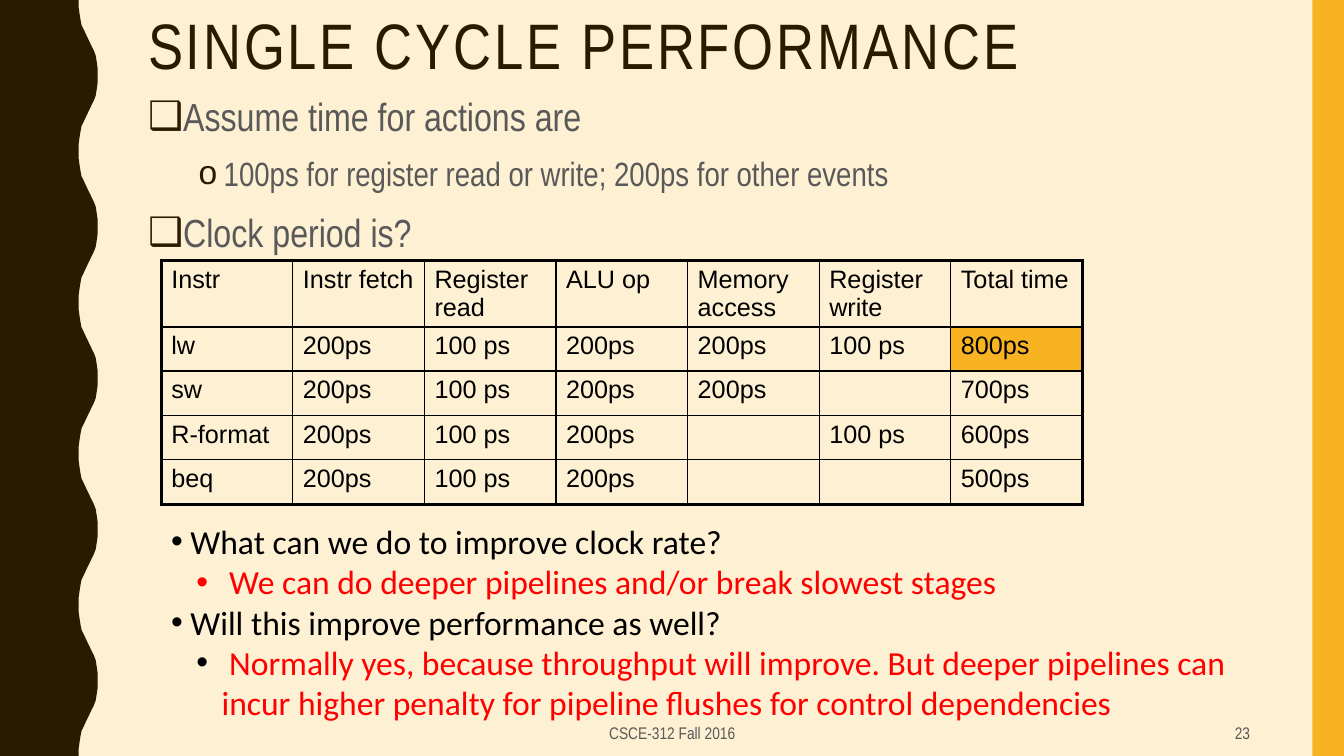
from lxml.etree import SubElement
from pptx import Presentation
from pptx.dml.color import RGBColor
from pptx.enum.shapes import MSO_SHAPE
from pptx.enum.text import MSO_ANCHOR, MSO_AUTO_SIZE, PP_ALIGN
from pptx.oxml import parse_xml
from pptx.oxml.ns import nsdecls, qn
from pptx.util import Pt


class Theme:
    cream, brown, gold = "FEF0D3", "2A1A00", "F8B323"
    grey, black, red = "595959", "000000", "FF0000"
    narrow, sans, notes = "Arial Narrow", "Arial", "Calibri"
    title, main, sub, cell, foot = 45.9, 28, 24, 18, 12


def style(para, face, size, color):
    para.font.name = face
    para.font.size = Pt(size)
    para.font.color.rgb = RGBColor.from_string(color)


def bullet(para, char, color, left, hang):
    props = para._p.get_or_add_pPr()
    props.set("marL", str(Pt(left)))
    props.set("indent", str(Pt(-hang)))
    tint = SubElement(props, qn("a:buClr"))
    SubElement(tint, qn("a:srgbClr"), val=color)
    SubElement(props, qn("a:buFont"), typeface=Theme.sans)
    SubElement(props, qn("a:buChar"), char=char)


deck = Presentation()
deck.slide_width, deck.slide_height = Pt(960), Pt(540)
slide = deck.slides.add_slide(deck.slide_layouts[1])
shapes = slide.shapes
slide.background.fill.solid()
slide.background.fill.fore_color.rgb = RGBColor.from_string(Theme.cream)

# Wavy band on the left: half a wave, mirrored, five times over
half = [(56.2, 0), (56.2, 5), (56.9, 10), (57.6, 14.4), (58.3, 18),
        (59.8, 21), (61.2, 24), (62.6, 27), (64.1, 30), (65.5, 33),
        (67, 36), (68.4, 39.6), (69.1, 44), (69.8, 49), (69.8, 54)]
wave = half + [(x, 108 - y) for x, y in half[-2::-1]]
edge = [(Pt(x), Pt(y + 108 * turn)) for turn in range(5) for x, y in wave]
path = shapes.build_freeform(0, 0)
path.add_line_segments(edge + [(0, Pt(540))], close=True)
band = path.convert_to_shape()

# Gold bar on the right
bar = shapes.add_shape(MSO_SHAPE.RECTANGLE, Pt(937.5), 0, Pt(22.5), Pt(540))
for shape, color in ((band, Theme.brown), (bar, Theme.gold)):
    shape.shadow.inherit = False
    shape.fill.solid()
    shape.fill.fore_color.rgb = RGBColor.from_string(color)
    shape.line.fill.background()

# Title
title = shapes.title
title.left, title.top, title.width, title.height = Pt(98.6), Pt(5.8), Pt(833), Pt(57.6)
frame = title.text_frame
frame.text = "SINGLE CYCLE PERFORMANCE"
frame.auto_size = MSO_AUTO_SIZE.NONE
frame.vertical_anchor = MSO_ANCHOR.MIDDLE
para = frame.paragraphs[0]
para.alignment = PP_ALIGN.LEFT
para.line_spacing = 0.9
style(para, Theme.narrow, Theme.title, Theme.brown)
para.runs[0]._r.get_or_add_rPr().set("spc", "200")

# Assumptions
body = slide.placeholders[1]
body.left, body.top, body.width, body.height = Pt(98.6), Pt(59), Pt(651.6), Pt(140.4)
frame = body.text_frame
frame.auto_size = MSO_AUTO_SIZE.NONE
points = [(0, "Assume time for actions are"),
          (1, "100ps for register read or write; 200ps for other events"),
          (0, "Clock period is?")]
for num, (level, text) in enumerate(points):
    para = frame.add_paragraph() if num else frame.paragraphs[0]
    para.text, para.level = text, level
    bullet(para, "❑o"[level], Theme.brown, 18 + 36 * level, 18)
    para.line_spacing, para.space_before = 1.1, Pt(7)
    style(para, Theme.narrow, (Theme.main, Theme.sub)[level], Theme.grey)

# Table of instruction times
rows = [
    ["Instr", "Instr fetch", "Register read", "ALU op", "Memory access", "Register write", "Total time"],
    ["lw", "200ps", "100 ps", "200ps", "200ps", "100 ps", "800ps"],
    ["sw", "200ps", "100 ps", "200ps", "200ps", "", "700ps"],
    ["R-format", "200ps", "100 ps", "200ps", "", "100 ps", "600ps"],
    ["beq", "200ps", "100 ps", "200ps", "", "", "500ps"],
]
last, end = len(rows) - 1, len(rows[0]) - 1
table = shapes.add_table(last + 1, end + 1, Pt(115.2), Pt(185.8), Pt(658), Pt(174)).table
table.first_row = table.horz_banding = False
for col in table.columns:
    col.width = Pt(94)
for r, row in enumerate(rows):
    table.rows[r].height = Pt(31.7 if r else 47)
    for c, text in enumerate(row):
        cell = table.cell(r, c)
        cell.text = text
        style(cell.text_frame.paragraphs[0], Theme.sans, Theme.cell, Theme.black)
        if text == "800ps":
            cell.fill.solid()
            cell.fill.fore_color.rgb = RGBColor.from_string(Theme.gold)
        else:
            cell.fill.background()
        sides = {"L": 1 if c else 2.25,
                 "R": 2.25 if c == end else 1,
                 "T": {0: 2.25, 1: 1.5}.get(r, 1),
                 "B": {0: 1.5, last: 2.25}.get(r, 1)}
        props = cell._tc.get_or_add_tcPr()
        for spot, (side, width) in enumerate(sides.items()):
            props.insert(spot, parse_xml(
                f'<a:ln{side} {nsdecls("a")} w="{Pt(width)}"><a:solidFill>'
                f'<a:srgbClr val="{Theme.black}"/></a:solidFill></a:ln{side}>'))

# Questions and answers
box = shapes.add_textbox(Pt(115.2), Pt(368.6), Pt(777.6), Pt(158.4))
frame = box.text_frame
frame.word_wrap = True
lines = [
    (0, " What can we do to improve clock rate?", Theme.black),
    (1, " We can do deeper pipelines and/or break slowest stages", Theme.red),
    (0, " Will this improve performance as well?", Theme.black),
    (1, " Normally yes, because throughput will improve. But deeper pipelines can "
        "incur higher penalty for pipeline flushes for control dependencies", Theme.black),
]
for num, (level, text, dot) in enumerate(lines):
    para = frame.add_paragraph() if num else frame.paragraphs[0]
    para.text, para.level = text, level
    bullet(para, "•", dot, 36 * level, 18 * level)
    style(para, Theme.notes, Theme.sub, Theme.red if level else Theme.black)

# Footer and page number
for left, width, text, align in ((318.2, 324, "CSCE-312 Fall 2016", PP_ALIGN.CENTER),
                                 (678.2, 221.8, "23", PP_ALIGN.RIGHT)):
    frame = shapes.add_textbox(Pt(left), Pt(509.8), Pt(width), Pt(27.4)).text_frame
    frame.word_wrap = True
    frame.vertical_anchor = MSO_ANCHOR.MIDDLE
    frame.text = text
    frame.paragraphs[0].alignment = align
    style(frame.paragraphs[0], Theme.narrow, Theme.foot, Theme.grey)

deck.save("out.pptx")
